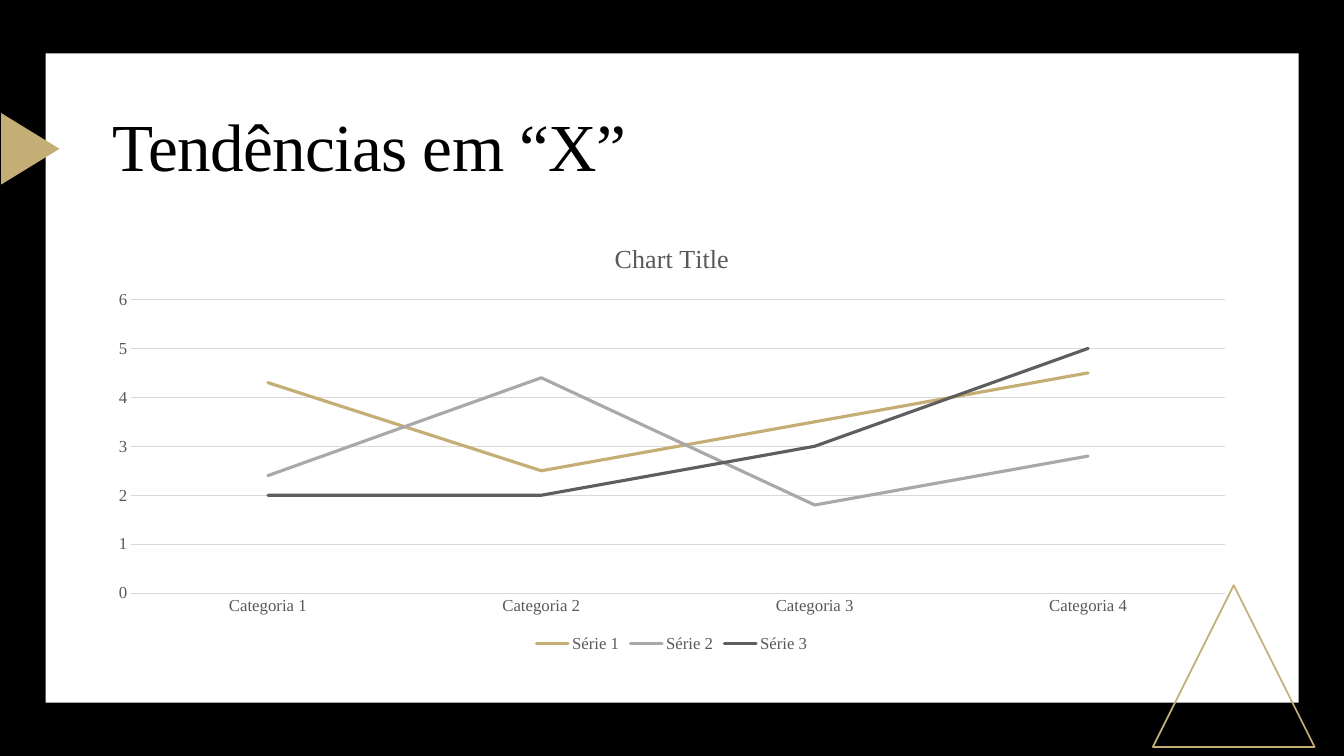
"""Builds a slide with a line chart of three series on a framed white panel."""
from pptx import Presentation
from pptx.chart.data import CategoryChartData
from pptx.dml.color import RGBColor
from pptx.enum.chart import XL_CHART_TYPE as ChartType, XL_LEGEND_POSITION as LegendPosition
from pptx.enum.chart import XL_TICK_MARK as TickMark
from pptx.enum.shapes import MSO_SHAPE as Shape
from pptx.enum.text import MSO_ANCHOR as Anchor
from pptx.util import Pt

TITLE = "Tendências em “X”"
CHART_TITLE = "Chart Title"
CATEGORIES = [f"Categoria {number}" for number in range(1, 5)]
SERIES = [
    ("Série 1", (4.3, 2.5, 3.5, 4.5), "C4AE75"),
    ("Série 2", (2.4, 4.4, 1.8, 2.8), "A9A9A9"),
    ("Série 3", (2, 2, 3, 5), "5E5E5E"),
]
FONT = "Times New Roman"
BLACK, WHITE, GOLD, GREY, GRID = "000000", "FFFFFF", "C4AE75", "595959", "D9D9D9"
DECORATIONS = [
    (Shape.RECTANGLE, (32.6, 38.2, 895, 463.6), WHITE, None, 0),
    (Shape.ISOSCELES_TRIANGLE, (823.5, 418, 115.5, 115.5), None, GOLD, 0),
    (Shape.ISOSCELES_TRIANGLE, (-3.8, 85.5, 51, 41.6), GOLD, None, 90),
]
TITLE_BOX = (73.4, 70.6, 823, 72)
CHART_BOX = (68.4, 159.9, 823, 309.3)


def paint(color_format, color):
    color_format.rgb = RGBColor.from_string(color)


def style_font(font, size, color):
    font.name, font.size, font.bold = FONT, Pt(size), False
    paint(font.color, color)


def style_line(line, color, width):
    paint(line.color, color)
    line.width = Pt(width)


def add_decoration(slide, kind, box, fill, outline, rotation):
    shape = slide.shapes.add_shape(kind, *map(Pt, box))
    shape.shadow.inherit = False
    shape.rotation = rotation
    if fill:
        shape.fill.solid()
        paint(shape.fill.fore_color, fill)
    else:
        shape.fill.background()
    if outline:
        style_line(shape.line, outline, 1.25)
    else:
        shape.line.fill.background()


def add_title(slide):
    frame = slide.shapes.add_textbox(*map(Pt, TITLE_BOX)).text_frame
    frame.word_wrap = True
    frame.vertical_anchor = Anchor.MIDDLE
    paragraph = frame.paragraphs[0]
    paragraph.line_spacing = 0.9
    run = paragraph.add_run()
    run.text = TITLE
    style_font(paragraph.font, 48, BLACK)
    run.font.bold = False
    run._r.get_or_add_rPr().set("spc", "-50")


def add_line_chart(slide):
    data = CategoryChartData()
    data.categories = CATEGORIES
    for name, values, _ in SERIES:
        data.add_series(name, values)
    chart = slide.shapes.add_chart(ChartType.LINE, *map(Pt, CHART_BOX), data).chart
    style_font(chart.font, 10, BLACK)

    chart.has_title = True
    chart.chart_title.include_in_layout = False
    paragraph = chart.chart_title.text_frame.paragraphs[0]
    paragraph.text = CHART_TITLE
    style_font(paragraph.font, 18.6, GREY)

    chart.has_legend = True
    chart.legend.position = LegendPosition.BOTTOM
    chart.legend.include_in_layout = False
    style_font(chart.legend.font, 12, GREY)

    for axis in (chart.category_axis, chart.value_axis):
        axis.major_tick_mark = axis.minor_tick_mark = TickMark.NONE
        style_font(axis.tick_labels.font, 12, GREY)
    style_line(chart.category_axis.format.line, GRID, 0.75)
    chart.value_axis.format.line.fill.background()
    style_line(chart.value_axis.major_gridlines.format.line, GRID, 0.75)

    for series, (_, _, color) in zip(chart.plots[0].series, SERIES):
        series.smooth = False
        style_line(series.format.line, color, 2.25)
    for line in chart.element.xpath(".//c:ser/c:spPr/a:ln"):
        line.set("cap", "rnd")


def main():
    presentation = Presentation()
    presentation.slide_width, presentation.slide_height = Pt(960), Pt(540)
    slide = presentation.slides.add_slide(presentation.slide_layouts[6])
    slide.background.fill.solid()
    paint(slide.background.fill.fore_color, BLACK)
    for decoration in DECORATIONS:
        add_decoration(slide, *decoration)
    add_title(slide)
    add_line_chart(slide)
    presentation.save("out.pptx")


if __name__ == "__main__":
    main()
